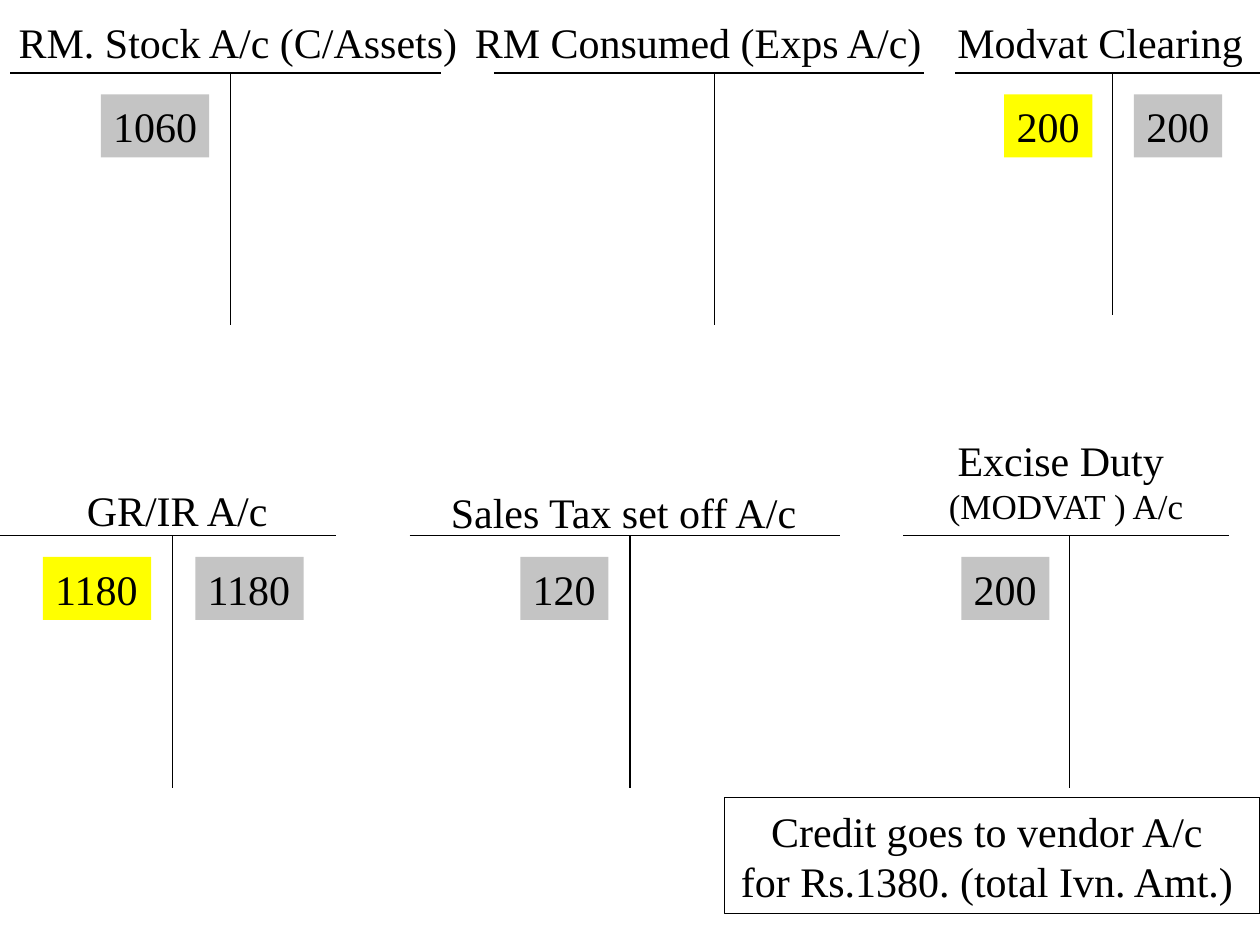
"""Build a slide of six T-accounts with their postings and a vendor note."""
from lxml.etree import SubElement
from pptx import Presentation
from pptx.dml.color import RGBColor
from pptx.enum.shapes import MSO_CONNECTOR, MSO_SHAPE
from pptx.enum.text import MSO_ANCHOR, PP_ALIGN
from pptx.oxml.ns import qn
from pptx.util import Inches, Pt

BLACK, WHITE, GREY, YELLOW = "000000", "FFFFFF", "C4C4C4", "FFFF00"
color = RGBColor.from_string


def write(text, left, top, width, height, fill=None, line=None, sizes=(24,),
          align=PP_ALIGN.LEFT, anchor=MSO_ANCHOR.TOP, wrap=False):
    """Place a box of text, one size per line."""
    place = [Inches(n) for n in (left, top, width, height)]
    if fill:
        box = slide.shapes.add_shape(MSO_SHAPE.RECTANGLE, *place)
        box.shadow.inherit = False
        box.fill.solid()
        box.fill.fore_color.rgb = color(fill)
        if line:
            box.line.color.rgb = color(line)
            box.line.width = Pt(0.75)
        else:
            box.line.fill.background()
    else:
        box = slide.shapes.add_textbox(*place)
    frame = box.text_frame
    frame.word_wrap = wrap
    frame.vertical_anchor = anchor
    frame.text = text
    for para, size in zip(frame.paragraphs, sizes):
        para.alignment = align
        para.font.name = "Times New Roman"
        para.font.size = Pt(size)
        para.font.color.rgb = color(BLACK)


def rule(x1, y1, x2, y2):
    """Draw a thin black line."""
    ends = [Inches(n) for n in (x1, y1, x2, y2)]
    line = slide.shapes.add_connector(MSO_CONNECTOR.STRAIGHT, *ends)
    line.line.color.rgb = color(BLACK)
    line.line.width = Pt(0.75)
    SubElement(line._element.spPr, qn("a:effectLst"))


deck = Presentation()
deck.slide_width, deck.slide_height = Inches(10), Inches(7.5)
slide = deck.slides.add_slide(deck.slide_layouts[6])

upper, lower = 0.58, 4.25
accounts = [
    (upper, 0.08, 3.5, 1.83, 2, [("1060", 0.8, GREY)]),
    (upper, 3.92, 7.33, 5.67, 2, []),
    (upper, 7.58, 10, 8.83, 1.92, [("200", 7.97, YELLOW), ("200", 9, GREY)]),
    (lower, 0, 2.67, 1.37, 2, [("1180", 0.34, YELLOW), ("1180", 1.55, GREY)]),
    (lower, 3.25, 6.67, 5, 2, [("120", 4.13, GREY)]),
    (lower, 7.17, 9.75, 8.49, 2, [("200", 7.63, GREY)]),
]
for top, left, right, stem, depth, posts in accounts:
    rule(left, top, right, top)
    rule(stem, top, stem, top + depth)
    for amount, x, fill in posts:
        width = 0.86 if len(amount) == 4 else 0.7
        write(amount, x, top + 0.17, width, 0.5, fill=fill)

titles = [
    ("RM. Stock A/c (C/Assets)", 0.05, 0.08, 3.7),
    ("RM Consumed (Exps A/c)", 3.67, 0.08, 3.76),
    ("Modvat Clearing", 7.5, 0.08, 2.47),
    ("GR/IR A/c", 0.59, 3.8, 1.65),
    ("Sales Tax set off A/c", 3.48, 3.81, 2.99),
]
for text, left, top, width in titles:
    write(text, left, top, width, 0.5)
write("Excise Duty \n(MODVAT ) A/c", 7.17, 3.4, 2.58, 0.84,
      sizes=(24, 20), align=PP_ALIGN.CENTER, wrap=True)

write("Credit goes to vendor A/c \nfor Rs.1380. (total Ivn. Amt.) ",
      5.75, 6.33, 4.25, 0.92, fill=WHITE, line=BLACK, sizes=(24, 24),
      align=PP_ALIGN.CENTER, anchor=MSO_ANCHOR.MIDDLE)

deck.save("out.pptx")
